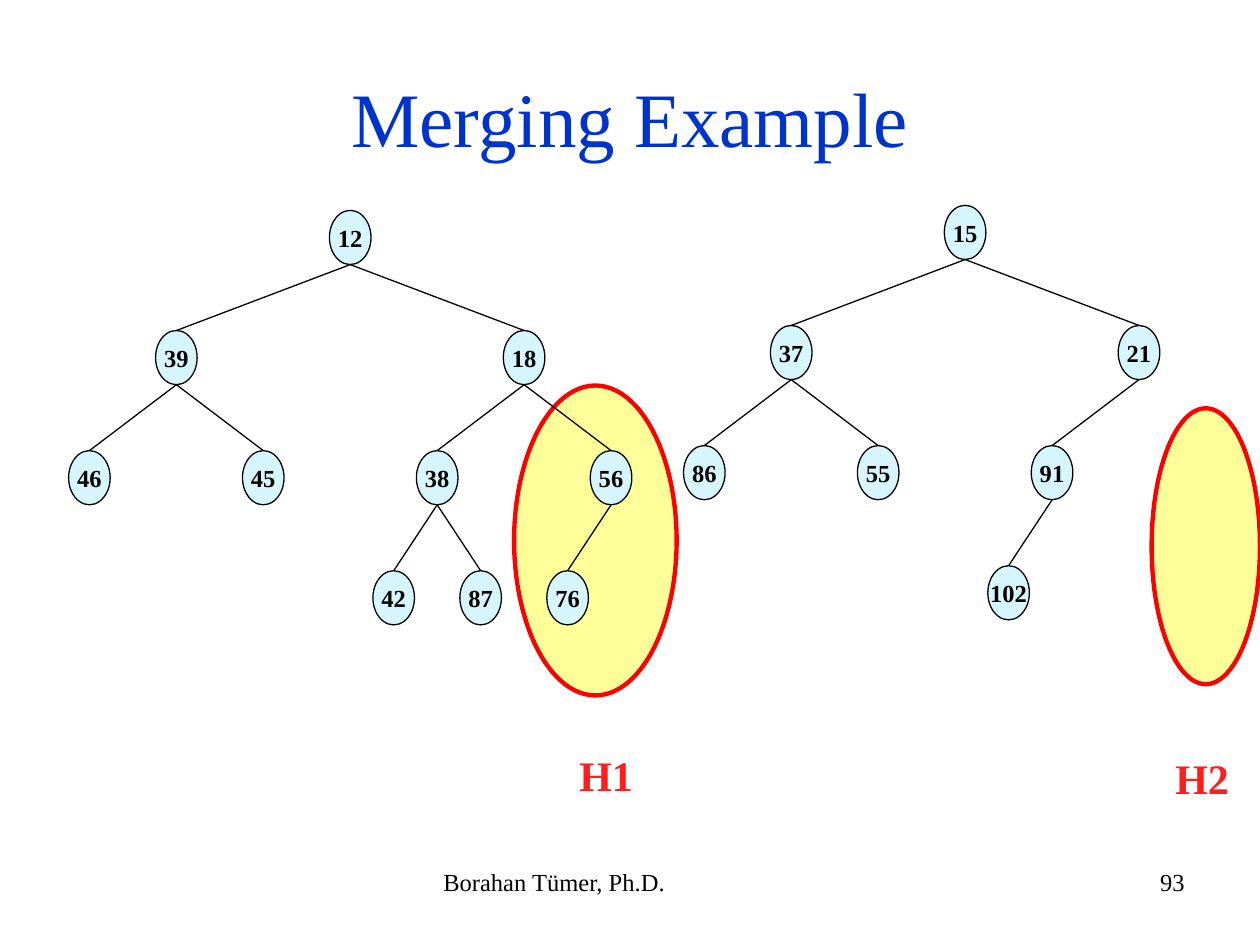
from lxml.etree import SubElement
from pptx import Presentation
from pptx.dml.color import RGBColor
from pptx.enum.shapes import MSO_CONNECTOR as Connector, MSO_SHAPE as Shape
from pptx.enum.text import MSO_ANCHOR as Anchor, PP_ALIGN as Align
from pptx.oxml.ns import qn
from pptx.util import Inches, Pt

FONT = "Times New Roman"
COLORS = {
    "title": "0033CC", "text": "000000", "label": "FE1E1E",
    "node": "D6F5FC", "line": "000000",
    "highlight": "FFFF99", "highlight_line": "FF0000",
}

# Each heap: centre of the root, top of the root, {level-order index: key}
HEAPS = [
    (2.78, 1.67, {0: 12, 1: 39, 2: 18, 3: 46, 4: 45, 5: 38, 6: 56,
                  11: 42, 12: 87, 13: 76}),
    (7.66, 1.63, {0: 15, 1: 37, 2: 21, 3: 86, 4: 55, 5: 91, 11: 102}),
]
NODE_WIDTH, NODE_HEIGHT = 0.33, 0.43
LEVEL_STEP = 2.86 / 3
FIRST_SPREAD = 1.38  # root to child, halved on every further level

# left, top, width, height
HIGHLIGHTS = [(9.14, 3.24, 0.86, 2.19), (4.08, 3.06, 1.29, 2.46)]

# text, area, size, colour, bold, alignment, anchor
TEXTS = [
    ("Borahan Tümer, Ph.D.", (3.42, 6.83, 3.17, 0.52), 14, "text", False,
     Align.LEFT, Anchor.TOP),
    ("93", (7.17, 6.83, 2.33, 0.52), 14, "text", False,
     Align.RIGHT, Anchor.TOP),
    ("Merging Example", (0.5, 0.3, 9, 1.25), 44, "title", False,
     Align.CENTER, Anchor.MIDDLE),
    ("H1", (4.5, 5.9, 0.77, 0.5), 24, "label", True, Align.LEFT, Anchor.TOP),
    ("H2", (9.23, 5.92, 0.77, 0.5), 24, "label", True, Align.LEFT, Anchor.TOP),
]


def color(name):
    return RGBColor.from_string(COLORS[name])


def write(shape, text, size, ink, bold, align, anchor, wrap=True):
    frame = shape.text_frame
    frame.word_wrap = wrap
    frame.vertical_anchor = anchor
    para = frame.paragraphs[0]
    para.alignment = align
    span = para.add_run()
    span.text = text
    span.font.name = FONT
    span.font.size = Pt(size)
    span.font.bold = bold
    span.font.color.rgb = color(ink)


def add_ellipse(shapes, area, fill, line, width):
    ellipse = shapes.add_shape(Shape.OVAL, *map(Inches, area))
    ellipse.shadow.inherit = False
    ellipse.fill.solid()
    ellipse.fill.fore_color.rgb = color(fill)
    ellipse.line.color.rgb = color(line)
    ellipse.line.width = Pt(width)
    return ellipse


def add_edge(shapes, parent, child):
    start_x = parent.left + parent.width // 2
    end_x = child.left + child.width // 2
    edge = shapes.add_connector(Connector.STRAIGHT, start_x,
                                parent.top + parent.height, end_x, child.top)
    edge.end_connect(child, 0)
    edge.line.color.rgb = color("line")
    edge.line.width = Pt(0.75)
    SubElement(edge.line._get_or_add_ln().getparent(), qn("a:effectLst"))


def add_heap(page, root_x, root_top, keys):
    shapes = page.shapes.add_group_shape().shapes
    centers, nodes = {}, {}
    for index, key in keys.items():
        depth = (index + 1).bit_length() - 1
        if index == 0:
            center = root_x
        else:
            side = -1 if index % 2 else 1
            center = (centers[(index - 1) // 2]
                      + side * FIRST_SPREAD / 2 ** (depth - 1))
        centers[index] = center
        area = (center - NODE_WIDTH / 2, root_top + depth * LEVEL_STEP,
                NODE_WIDTH, NODE_HEIGHT)
        nodes[index] = add_ellipse(shapes, area, "node", "line", 0.75)
        write(nodes[index], str(key), 14, "text", True,
              Align.CENTER, Anchor.MIDDLE, wrap=False)
    for index, node in nodes.items():
        if index:
            add_edge(shapes, nodes[(index - 1) // 2], node)


def main():
    deck = Presentation()
    deck.slide_width, deck.slide_height = Inches(10), Inches(7.5)
    page = deck.slides.add_slide(deck.slide_layouts[6])

    # Highlights lie behind the heaps
    for area in HIGHLIGHTS:
        add_ellipse(page.shapes, area, "highlight", "highlight_line", 2.5)

    # Heaps
    for heap in HEAPS:
        add_heap(page, *heap)

    # Title, labels and footer
    for text, area, *style in TEXTS:
        box = page.shapes.add_textbox(*map(Inches, area))
        write(box, text, *style)

    deck.save("out.pptx")


if __name__ == "__main__":
    main()
